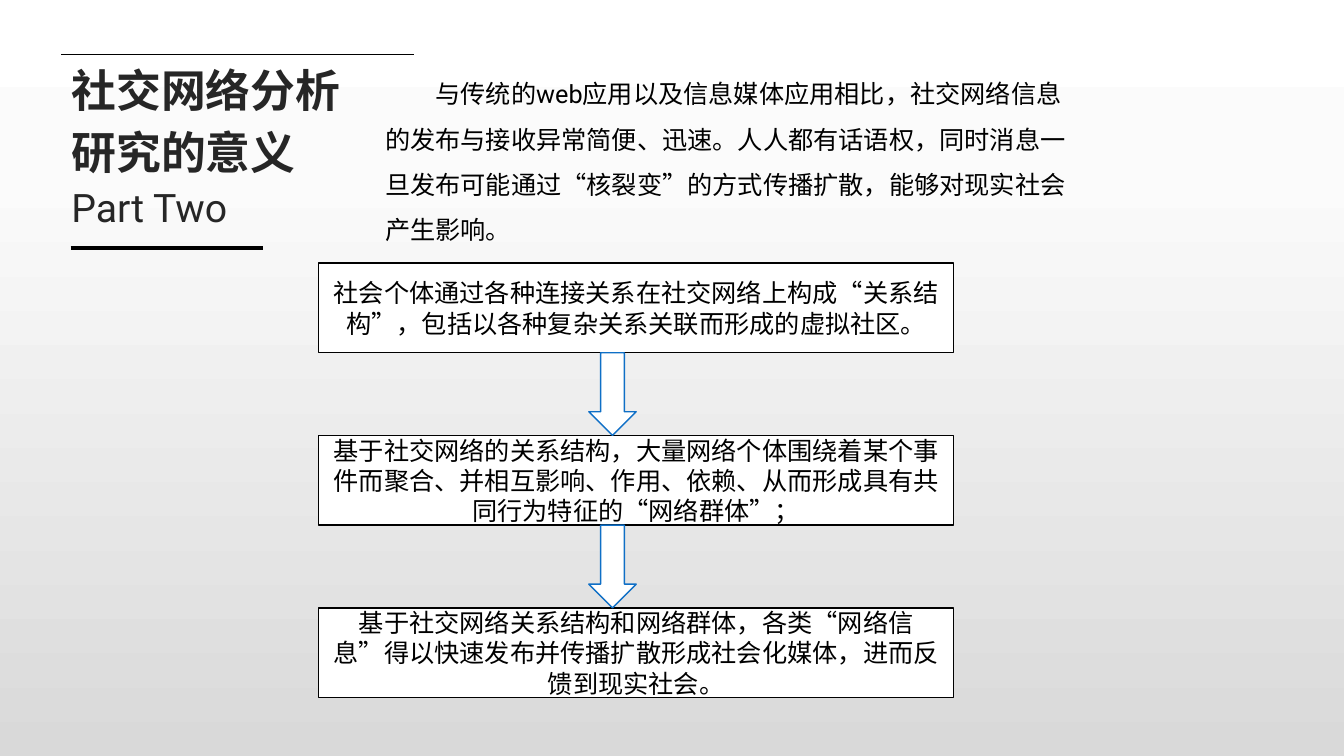
from copy import deepcopy

from lxml import etree
from pptx import Presentation
from pptx import util as u
from pptx.dml.color import RGBColor
from pptx.enum import shapes, text
from pptx.oxml.ns import qn

BLACK = RGBColor(0x00, 0x00, 0x00)
WHITE = RGBColor(0xFF, 0xFF, 0xFF)
CHARCOAL = RGBColor(0x26, 0x26, 0x26)
BLUE = RGBColor(0x0F, 0x6F, 0xC6)
BACKDROP = [(0, WHITE), (0.23, RGBColor(0xFB, 0xFB, 0xFB)),
            (1, RGBColor(0xD9, 0xD9, 0xD9))]
FONT = "Roboto"

HEADING = ["社交网络分析", "研究的意义"]
PART = "Part Two"
INTRO = ("与传统的web应用以及信息媒体应用相比，社交网络信息的发布与接收异常简便、迅速。"
         "人人都有话语权，同时消息一旦发布可能通过“核裂变”的方式传播扩散，"
         "能够对现实社会产生影响。")
STEPS = [
    "社会个体通过各种连接关系在社交网络上构成“关系结构”，包括以各种复杂关系关联而形成的虚拟社区。",
    "基于社交网络的关系结构，大量网络个体围绕着某个事件而聚合、并相互影响、作用、依赖、"
    "从而形成具有共同行为特征的“网络群体”；",
    "基于社交网络关系结构和网络群体，各类“网络信息”得以快速发布并传播扩散形成社会化媒体，"
    "进而反馈到现实社会。",
]


def inches(*lengths):
    return [u.Inches(length) for length in lengths]


def write(frame, lines, size, color, bold=False, align=text.PP_ALIGN.LEFT,
          spacing=None, before=None):
    frame.word_wrap = True
    frame.text = "\n".join(lines)
    for paragraph in frame.paragraphs:
        paragraph.alignment = align
        paragraph.line_spacing = spacing
        if before is not None:
            paragraph.space_before = u.Pt(before)
        for run in paragraph.runs:
            run.font.name = FONT
            run.font.size = u.Pt(size)
            run.font.bold = bold
            run.font.color.rgb = color


def add_rule(slide, left, top, width, weight):
    rule = slide.shapes.add_connector(
        shapes.MSO_CONNECTOR.STRAIGHT, *inches(left, top, left + width, top))
    rule.line.color.rgb = BLACK
    rule.line.width = u.Pt(weight)
    etree.SubElement(rule.element.spPr, qn("a:effectLst"))


def add_outlined(slide, preset, box, outline):
    block = slide.shapes.add_shape(preset, *inches(*box))
    block.shadow.inherit = False
    block.fill.solid()
    block.fill.fore_color.rgb = WHITE
    block.line.color.rgb = outline
    block.line.width = u.Pt(1)
    return block


def paint_background(slide):
    fill = slide.background.fill
    fill.gradient()
    fill.gradient_angle = 270
    stop_list = slide.element.find(".//" + qn("a:gsLst"))
    stop_list.append(deepcopy(stop_list[-1]))
    for stop, (position, color) in zip(fill.gradient_stops, BACKDROP):
        stop.position = position
        stop.color.rgb = color


def add_heading(slide, left, top, width):
    """Two-line heading and part label between a thin and a thick rule."""
    add_rule(slide, left, top, width, 0.5)
    heading = slide.shapes.add_textbox(*inches(left, top + 0.09, width, 0.97))
    write(heading.text_frame, HEADING, 32, CHARCOAL, bold=True,
          spacing=0.9, before=10)
    part = slide.shapes.add_textbox(*inches(left, top + 1.28, width, 0.52))
    write(part.text_frame, [PART], 28, CHARCOAL, spacing=0.9, before=10)
    add_rule(slide, left + 0.09, top + 1.92, 1.91, 3)


def add_intro(slide, *box):
    """Opening paragraph with an indented first line."""
    intro = slide.shapes.add_textbox(*inches(*box))
    write(intro.text_frame, [INTRO], 18, BLACK, spacing=1.5)
    properties = intro.text_frame.paragraphs[0]._p.get_or_add_pPr()
    properties.set("indent", str(u.Inches(0.5)))


def add_flow(slide, left, top, width, height):
    """Equal steps down the box, with an arrow in each gap."""
    step_height, arrow_width = 0.89, 0.47
    pitch = (height - step_height) / (len(STEPS) - 1)
    for row, step in enumerate(STEPS):
        step_top = top + row * pitch
        block = add_outlined(slide, shapes.MSO_SHAPE.RECTANGLE,
                             (left, step_top, width, step_height), BLACK)
        block.text_frame.vertical_anchor = text.MSO_ANCHOR.MIDDLE
        write(block.text_frame, [step], 18, BLACK, align=text.PP_ALIGN.CENTER)
    for row in range(len(STEPS) - 1):
        arrow_top = top + row * pitch + step_height
        add_outlined(slide, shapes.MSO_SHAPE.DOWN_ARROW,
                     (left + 2.68, arrow_top, arrow_width, pitch - step_height),
                     BLUE)


def main():
    deck = Presentation()
    deck.slide_width, deck.slide_height = inches(13.33, 7.5)
    slide = deck.slides.add_slide(deck.slide_layouts[6])
    paint_background(slide)
    add_heading(slide, 0.61, 0.54, 3.5)
    add_intro(slide, 3.72, 0.58, 7.01, 1.92)
    add_flow(slide, 3.16, 2.61, 6.3, 4.31)
    deck.save("out.pptx")


if __name__ == "__main__":
    main()
